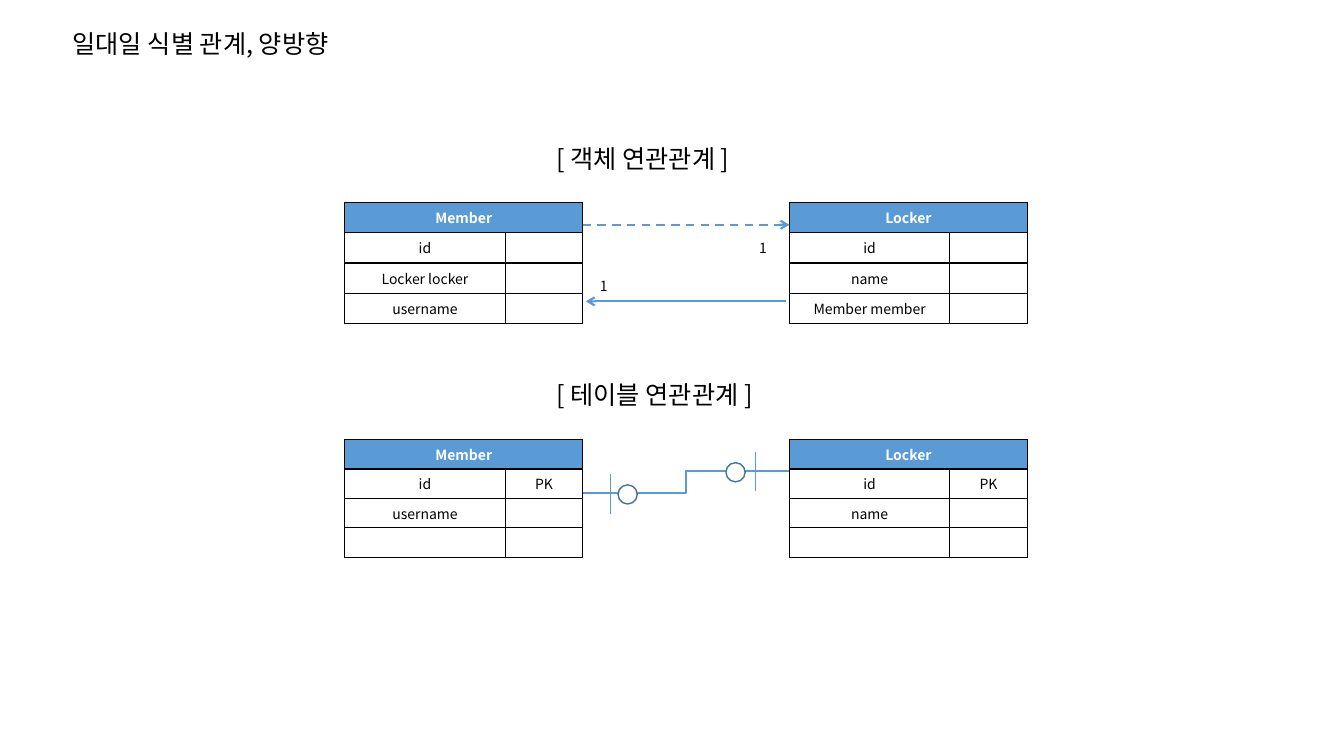
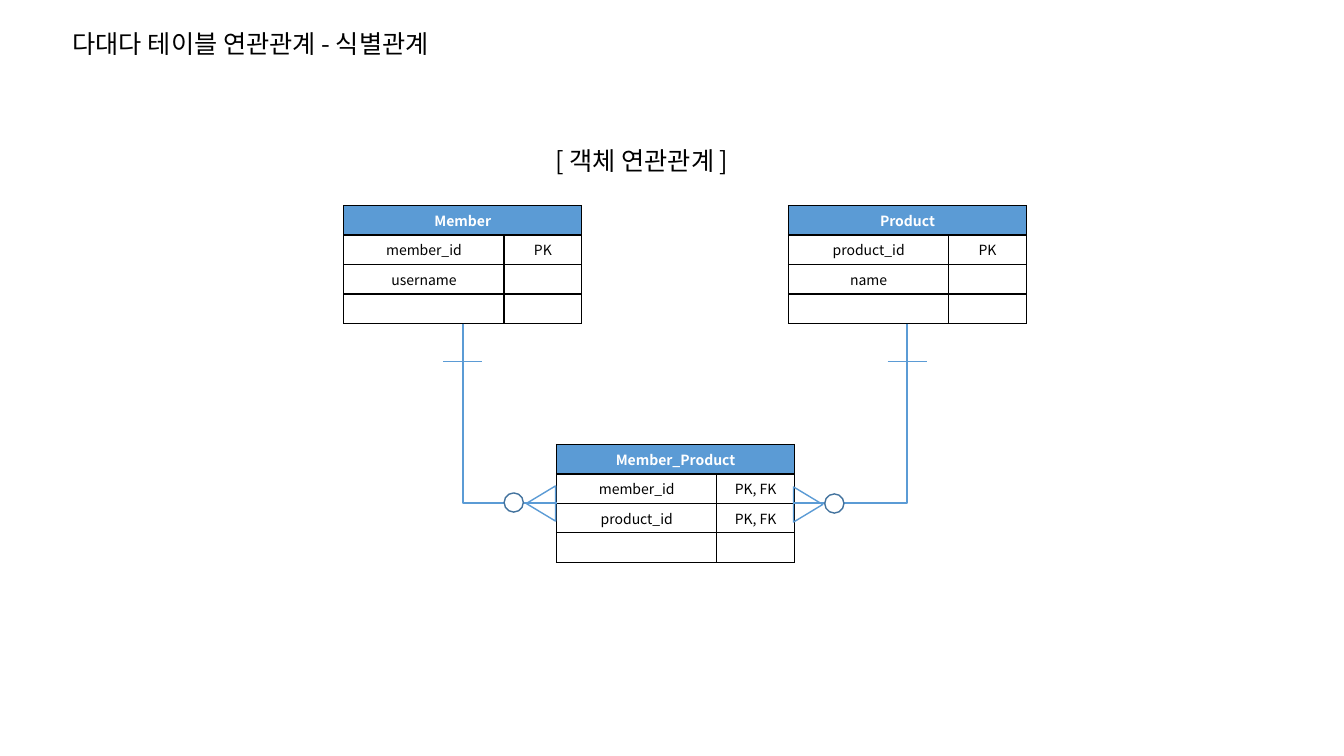
from lxml import etree
from pptx import Presentation
from pptx.dml.color import RGBColor
from pptx.enum.dml import MSO_LINE
from pptx.enum.shapes import MSO_CONNECTOR, MSO_SHAPE
from pptx.enum.text import MSO_ANCHOR, MSO_AUTO_SIZE, PP_ALIGN
from pptx.oxml.ns import qn
from pptx.util import Pt

PX = 9144
FONT = "Noto Sans CJK KR"
BLACK, WHITE, BLUE, NAVY = "000000", "FFFFFF", "5B9BD5", "43739E"
STRAIGHT, ELBOW = MSO_CONNECTOR.STRAIGHT, MSO_CONNECTOR.ELBOW
OVAL, TRIANGLE = MSO_SHAPE.OVAL, MSO_SHAPE.ISOSCELES_TRIANGLE
DASH = MSO_LINE.DASH
LEFT, CENTER = PP_ALIGN.LEFT, PP_ALIGN.CENTER
TOP, MIDDLE = MSO_ANCHOR.TOP, MSO_ANCHOR.MIDDLE
FIT, FIXED = MSO_AUTO_SIZE.SHAPE_TO_FIT_TEXT, MSO_AUTO_SIZE.NONE

COLS = (159, 77)
TICK, RING, FOOT = 39, 19, (35, 29)

SLIDES = [
    {
        "title": "일대일 식별 관계, 양방향",
        "tables": [
            (342, 201, 120, "Member", [("id", ""), ("Locker locker", ""), ("username", "")]),
            (783, 201, 120, "Locker", [("id", ""), ("name", ""), ("Member member", "")]),
            (342, 436, 117, "Member", [("id", "PK"), ("username", ""), ("", "")]),
            (783, 436, 117, "Locker", [("id", "PK"), ("name", ""), ("", "")]),
        ],
        "texts": [
            (542, 137, 214, 40, 18, "[ 객체 연관관계 ]"),
            (542, 371, 239, 40, 18, "[ 테이블 연관관계 ]"),
            (585, 270, 28, 27, 10, "1"),
            (743, 233, 28, 27, 10, "1"),
        ],
        "arrows": [((578, 223), (783, 223), DASH), ((780, 299), (581, 299), None)],
        "steps": [((578, 489), (783, 467))],
        "corners": [],
        "ticks": [(605, 490, True), (749, 468, True)],
        "feet": [],
        "rings": [(613, 481), (720, 459)],
    },
    {
        "title": "다대다 테이블 연관관계 - 식별관계",
        "tables": [
            (341, 204, 117, "Member", [("member_id", "PK"), ("username", ""), ("", "")]),
            (782, 204, 117, "Product", [("product_id", "PK"), ("name", ""), ("", "")]),
            (552, 441, 117, "Member_Product",
             [("member_id", "PK, FK"), ("product_id", "PK, FK"), ("", "")]),
        ],
        "texts": [(541, 139, 214, 40, 18, "[ 객체 연관관계 ]")],
        "arrows": [],
        "steps": [],
        "corners": [((459, 321), (552, 499)), ((900, 321), (788, 499))],
        "ticks": [(459, 359, False), (900, 359, False)],
        "feet": [(519, 485, 270), (784, 486, 90)],
        "rings": [(500, 489), (818, 490)],
    },
]


def px(*nums):
    return [round(n * PX) for n in nums]


def color(code):
    return RGBColor.from_string(code)


def style(para, size, code=BLACK, bold=False):
    for run in para.runs:
        font = run.font
        font.size, font.bold, font.name = Pt(size), bold, FONT
        font.color.rgb = color(code)
        asian = etree.SubElement(run._r.get_or_add_rPr(), qn("a:ea"))
        asian.set("typeface", FONT)


def add_title(slide, text):
    title = slide.shapes.title
    frame = title.text_frame
    frame.text = text
    frame.vertical_anchor, frame.auto_size = TOP, FIXED
    frame.paragraphs[0].alignment = LEFT
    style(frame.paragraphs[0], 18)


def add_text(slide, x, y, w, h, size, text):
    frame = slide.shapes.add_textbox(*px(x, y, w, h)).text_frame
    frame.text = text
    frame.word_wrap, frame.auto_size = False, FIT
    style(frame.paragraphs[0], size)


def border(cell):
    props = cell._tc.get_or_add_tcPr()
    for i, side in enumerate(("lnL", "lnR", "lnT", "lnB")):
        line = etree.Element(qn("a:" + side), w=str(Pt(1)))
        fill = etree.SubElement(line, qn("a:solidFill"))
        etree.SubElement(fill, qn("a:srgbClr"), val=BLACK)
        props.insert(i, line)


def add_table(slide, x, y, h, name, rows):
    grid = [(name, "")] + rows
    table = slide.shapes.add_table(
        len(grid), len(COLS), *px(x, y, sum(COLS), h)).table
    for col, wide in zip(table.columns, COLS):
        col.width = px(wide)[0]
    for r, row in enumerate(grid):
        table.rows[r].height = px(h / len(grid))[0]
        for c, text in enumerate(row):
            cell = table.cell(r, c)
            cell.text = text
            cell.vertical_anchor = MIDDLE
            cell.margin_top, cell.margin_bottom = px(4, 4)
            para = cell.text_frame.paragraphs[0]
            para.alignment = CENTER
            if text:
                style(para, 10, BLACK if r else WHITE, not r)
            else:
                para._p.get_or_add_endParaRPr().set("sz", "1000")
            if r:
                cell.fill.background()
            else:
                cell.fill.solid()
                cell.fill.fore_color.rgb = color(BLUE)
            border(cell)
    table.cell(0, 0).merge(table.cell(0, 1))


def add_line(slide, start, end, width=1.5, kind=STRAIGHT):
    link = slide.shapes.add_connector(kind, *px(*start, *end))
    link.line.color.rgb = color(BLUE)
    link.line.width = Pt(width)
    etree.SubElement(link._element.spPr, qn("a:effectLst"))
    return link


def add_arrow(slide, start, end, dash):
    line = add_line(slide, start, end).line
    if dash:
        line.dash_style = dash
    etree.SubElement(line._get_or_add_ln(), qn("a:tailEnd"), type="arrow")


def add_corner(slide, start, end):
    (x1, y1), (x2, y2) = start, end
    w, h = y2 - y1, abs(x2 - x1)
    x, y = (x1 + x2 - w) / 2, (y1 + y2 - h) / 2
    link = add_line(slide, (x, y), (x + w, y + h), kind=ELBOW)
    props = link._element.spPr
    props.find(qn("a:prstGeom")).set("prst", "bentConnector2")
    frame = props.find(qn("a:xfrm"))
    right = x2 > x1
    frame.set("rot", str((270 if right else 90) * 60000))
    if right:
        frame.set("flipH", "1")


def add_tick(slide, x, y, tall):
    dx, dy = (0, TICK / 2) if tall else (TICK / 2, 0)
    add_line(slide, (x - dx, y - dy), (x + dx, y + dy), 0.5)


def add_mark(slide, kind, x, y, w, h, code):
    mark = slide.shapes.add_shape(kind, *px(x, y, w, h))
    mark.shadow.inherit = False
    mark.fill.background()
    mark.line.color.rgb = color(code)
    mark.line.width = Pt(1)
    return mark


def add_foot(slide, x, y, turn):
    add_mark(slide, TRIANGLE, x, y, *FOOT, BLUE).rotation = turn


def add_ring(slide, x, y):
    ring = add_mark(slide, OVAL, x, y, RING, RING, NAVY)
    ring.fill.solid()
    ring.fill.fore_color.rgb = color(WHITE)


PARTS = [
    ("tables", add_table), ("texts", add_text), ("arrows", add_arrow),
    ("steps", lambda slide, a, b: add_line(slide, a, b, kind=ELBOW)),
    ("corners", add_corner), ("ticks", add_tick),
    ("feet", add_foot), ("rings", add_ring),
]


def main():
    deck = Presentation()
    deck.slide_width, deck.slide_height = px(1333, 750)
    layout = deck.slide_layouts[5]
    head = layout.placeholders[0]
    head.left, head.top, head.width, head.height = px(62, 23, 490, 40)
    for data in SLIDES:
        slide = deck.slides.add_slide(layout)
        add_title(slide, data["title"])
        for key, draw in PARTS:
            for item in data[key]:
                draw(slide, *item)
    deck.save("out.pptx")


if __name__ == "__main__":
    main()
